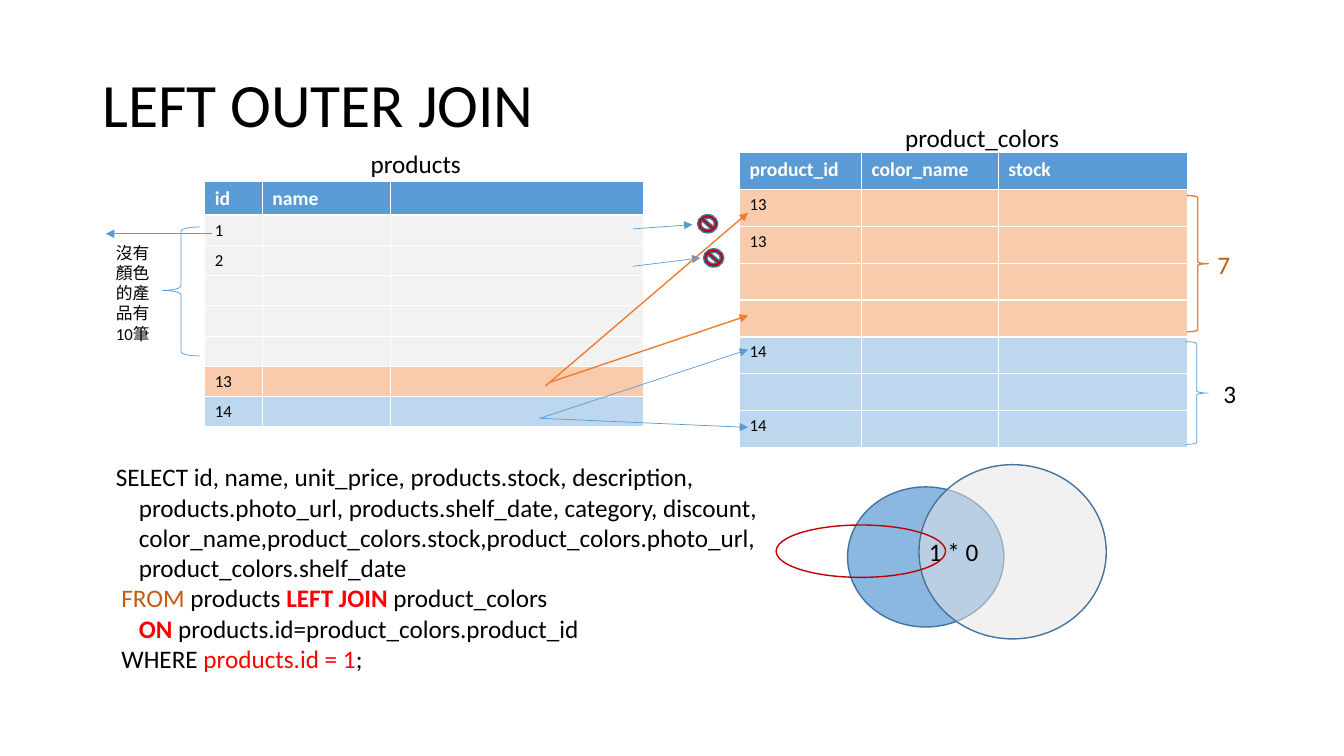
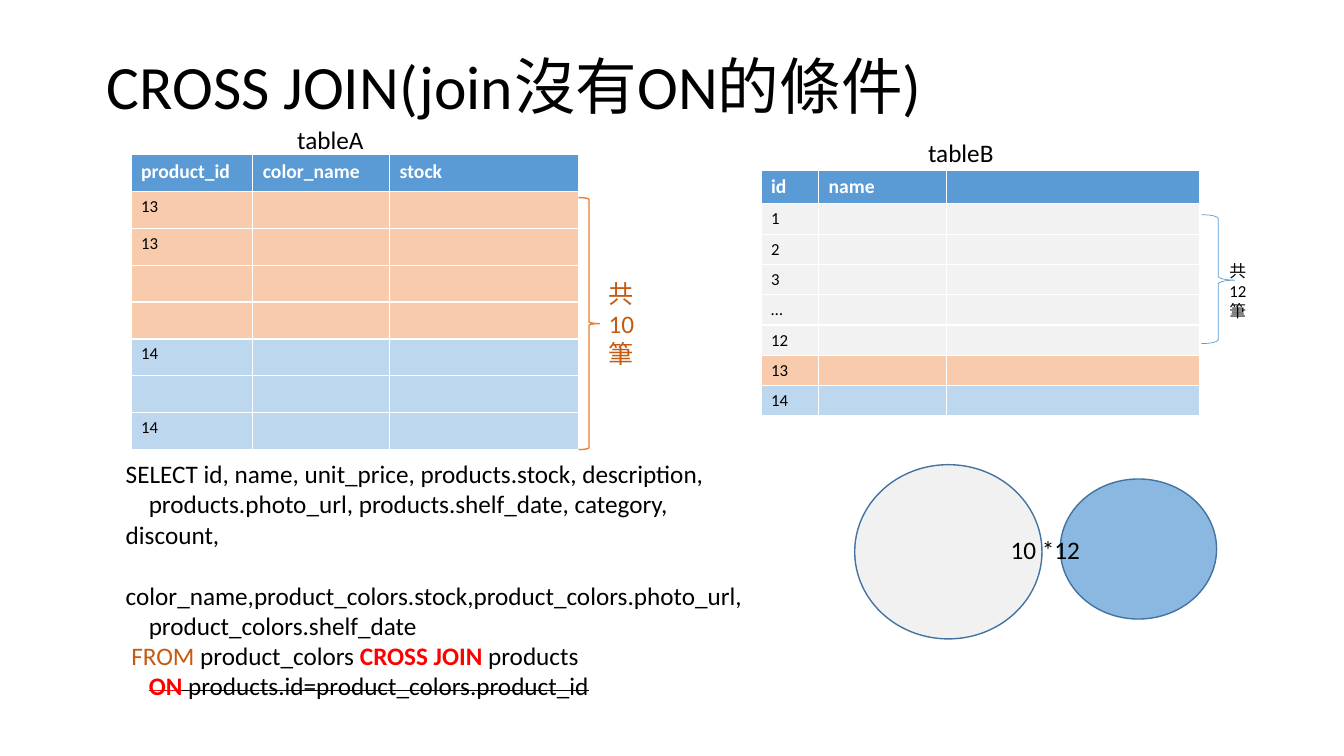
from dataclasses import dataclass

from lxml.etree import SubElement
from pptx import Presentation
from pptx.dml.color import RGBColor
from pptx.enum.shapes import MSO_CONNECTOR, MSO_SHAPE
from pptx.enum.text import MSO_ANCHOR, PP_ALIGN
from pptx.oxml.ns import qn
from pptx.util import Cm, Pt


@dataclass(frozen=True)
class Theme:
    font: str = "Calibri"
    title_size: int = 44
    body_size: int = 18
    header_size: int = 14
    cell_size: int = 12
    thin: float = 0.5
    medium: float = 1
    black: str = "000000"
    white: str = "FFFFFF"
    blue: str = "5B9BD5"
    light_blue: str = "BDD7EE"
    dark_blue: str = "43739E"
    orange: str = "ED7D31"
    dark_orange: str = "C55A11"
    peach: str = "F8CBAD"
    gray: str = "F2F2F2"
    silver: str = "E7E6E6"
    red: str = "FF0000"
    dark_red: str = "C00000"


@dataclass(frozen=True)
class QueryLine:
    runs: tuple  # (text, colour, bold)
    indent: float = 0
    space_before: float = 0
    struck: bool = False


theme = Theme()


def add_text(slide, box, text, size, color):
    frame = slide.shapes.add_textbox(*map(Cm, box)).text_frame
    frame.word_wrap = True
    frame.text = text
    for paragraph in frame.paragraphs:
        paragraph.font.name = theme.font
        paragraph.font.size = Pt(size)
        paragraph.font.color.rgb = RGBColor.from_string(color)
    return frame


def add_outline(slide, preset, box, color, width, fill=None, opacity=100):
    shape = slide.shapes.add_shape(preset, *map(Cm, box))
    shape.shadow.inherit = False
    shape.line.color.rgb = RGBColor.from_string(color)
    shape.line.width = Pt(width)
    if fill:
        shape.fill.solid()
        shape.fill.fore_color.rgb = RGBColor.from_string(fill)
        fill_color = shape._element.spPr.find(qn("a:solidFill"))[0]
        SubElement(fill_color, qn("a:alpha"), val=str(opacity * 1000))
    else:
        shape.fill.background()
    return shape


presentation = Presentation()
presentation.slide_width = Cm(33.87)
presentation.slide_height = Cm(19.05)
blank = presentation.slide_layouts[6]
left_join = presentation.slides.add_slide(blank)
cross_join = presentation.slides.add_slide(blank)

# Titles
for slide, left, top, title in (
    (left_join, 2.33, 1.3, "LEFT OUTER JOIN"),
    (cross_join, 2.44, 0.86, "CROSS JOIN(join沒有ON的條件)"),
):
    heading = add_text(slide, (left, top, 29.2, 2.81), title, theme.title_size, theme.black)
    heading.vertical_anchor = MSO_ANCHOR.MIDDLE
    heading.paragraphs[0].line_spacing = 0.9

# Tables: header, column widths, header height, row height
product_layout = (("id", "name", ""), (1.45, 3.23, 6.38), 0.79, 0.71)
color_layout = (("product_id", "color_name", "stock"), (3.07, 3.45, 4.77), 0.93, 0.93)
product_bands = [theme.gray] * 5 + [theme.peach, theme.light_blue]
color_bands = [theme.peach] * 4 + [theme.light_blue] * 3
color_ids = ("13", "13", "", "", "14", "", "14")

for slide, left, top, layout, ids, bands in (
    (left_join, 5.16, 4.57, product_layout, ("1", "2", "", "", "", "13", "14"), product_bands),
    (left_join, 18.64, 3.84, color_layout, color_ids, color_bands),
    (cross_join, 3.3, 3.89, color_layout, color_ids, color_bands),
    (cross_join, 19.18, 4.29, product_layout, ("1", "2", "3", "…", "12", "13", "14"), product_bands),
):
    header, widths, header_height, row_height = layout
    records = [header] + [(record_id, "", "") for record_id in ids]
    total_height = header_height + row_height * len(ids)
    table = slide.shapes.add_table(
        len(records), len(header), Cm(left), Cm(top), Cm(sum(widths)), Cm(total_height)
    ).table
    table.horz_banding = False
    for column, width in zip(table.columns, widths):
        column.width = Cm(width)
    for row_index, (record, band) in enumerate(zip(records, [theme.blue] + bands)):
        is_header = row_index == 0
        size = theme.header_size if is_header else theme.cell_size
        color = theme.white if is_header else theme.black
        table.rows[row_index].height = Cm(header_height if is_header else row_height)
        for cell, value in zip(table.rows[row_index].cells, record):
            cell.fill.solid()
            cell.fill.fore_color.rgb = RGBColor.from_string(band)
            cell.text = value
            paragraph = cell.text_frame.paragraphs[0]
            paragraph.font.name = theme.font
            paragraph.font.size = Pt(size)
            paragraph.font.bold = is_header
            paragraph.font.color.rgb = RGBColor.from_string(color)
            # Keeps rows of empty cells as low as the others
            SubElement(paragraph._p, qn("a:endParaRPr"), sz=str(size * 100))

# Braces that count the rows
right, left_facing = MSO_SHAPE.RIGHT_BRACE, MSO_SHAPE.LEFT_BRACE
for slide, preset, box, color, width, curve, tip in (
    (left_join, right, (29.92, 4.93, 0.53, 3.43), theme.orange, theme.medium, 0.083, 0.5),
    (left_join, right, (29.87, 8.61, 0.58, 2.59), theme.blue, theme.thin, 0.083, 0.5),
    (left_join, left_facing, (4.09, 5.72, 0.94, 3.25), theme.blue, theme.thin, 0.118, 0.492),
    (cross_join, right, (14.58, 4.98, 0.53, 6.35), theme.orange, theme.medium, 0.083, 0.5),
    (cross_join, right, (30.28, 5.41, 0.84, 3.25), theme.blue, theme.thin, 0.118, 0.508),
):
    brace = add_outline(slide, preset, box, color, width)
    brace.adjustments[0] = curve
    brace.adjustments[1] = tip

# Arrows from products to their colours
for ends, color, width in (
    ((15.95, 5.77, 17.45, 5.66), theme.blue, theme.thin),
    ((15.95, 6.71, 17.65, 6.5), theme.blue, theme.thin),
    ((13.74, 9.73, 18.85, 5.36), theme.orange, theme.medium),
    ((13.87, 9.63, 18.85, 7.95), theme.orange, theme.medium),
    ((13.61, 10.54, 18.85, 8.81), theme.blue, theme.thin),
    ((13.59, 10.54, 18.85, 10.77), theme.blue, theme.thin),
    ((5.33, 5.89, 2.67, 5.89), theme.blue, theme.thin),
):
    arrow = left_join.shapes.add_connector(MSO_CONNECTOR.STRAIGHT, *map(Cm, ends))
    arrow.line.color.rgb = RGBColor.from_string(color)
    arrow.line.width = Pt(width)
    properties = arrow._element.spPr
    SubElement(properties.find(qn("a:ln")), qn("a:tailEnd"), type="triangle")
    SubElement(properties, qn("a:effectLst"))

# Signs for products without a colour
for left, top in ((17.58, 5.41), (17.73, 6.27)):
    add_outline(left_join, MSO_SHAPE.NO_SYMBOL, (left, top, 0.51, 0.46),
                theme.dark_blue, theme.medium, theme.dark_red)

# Venn diagrams
for slide, product_corner, color_corner in (
    (left_join, (21.36, 12.27), (23.16, 11.71)),
    (cross_join, (26.72, 12.07), (21.54, 11.71)),
):
    add_outline(slide, MSO_SHAPE.OVAL, (*product_corner, 3.94, 3.53),
                theme.dark_blue, theme.medium, theme.blue, 70)
    add_outline(slide, MSO_SHAPE.OVAL, (*color_corner, 4.72, 4.39),
                theme.dark_blue, theme.medium, theme.silver, 52)

# Captions and counts
for slide, box, text, size, color in (
    (left_join, (9.09, 3.61, 4, 1.02), "products", theme.body_size, theme.black),
    (left_join, (22.56, 2.97, 6, 1.02), "product_colors", theme.body_size, theme.black),
    (left_join, (30.43, 6.15, 1, 1.02), "7", theme.body_size, theme.dark_orange),
    (left_join, (30.58, 9.4, 1, 1.02), "3", theme.body_size, theme.black),
    (left_join, (2.67, 5.99, 1.37, 2.82), "沒有顏色的產品有10筆", theme.cell_size, theme.black),
    (left_join, (23.16, 13.39, 2.2, 1.02), "1 * 0", theme.body_size, theme.black),
    (cross_join, (7.24, 3.02, 4, 1.02), "tableA", theme.body_size, theme.black),
    (cross_join, (23.14, 3.33, 4, 1.02), "tableB", theme.body_size, theme.black),
    (cross_join, (15.09, 6.88, 1.37, 2.57), "共\n10\n筆", theme.body_size, theme.dark_orange),
    (cross_join, (30.73, 6.45, 1.37, 1.8), "共\n12\n筆", theme.cell_size, theme.black),
    (cross_join, (25.22, 13.34, 4.06, 1.02), "10 *12", theme.body_size, theme.black),
):
    add_text(slide, box, text, size, color)

# Ring around the rows that only the left table has
add_outline(left_join, MSO_SHAPE.OVAL, (19.56, 13.23, 4.27, 1.32), theme.dark_red, theme.medium)

# Queries
clause, step = 0.14, 0.58
select, photo, colors, shelf = (
    ((text, theme.black, False),)
    for text in (
        "SELECT id, name, unit_price, products.stock, description,",
        "products.photo_url, products.shelf_date, category, discount,",
        "color_name,product_colors.stock,product_colors.photo_url,",
        "product_colors.shelf_date",
    )
)
from_word = ("FROM ", theme.dark_orange, False)
on_runs = (("ON", theme.red, True), (" products.id=product_colors.product_id", theme.black, False))
left_query = (
    QueryLine(select),
    QueryLine(photo, step),
    QueryLine(colors, step),
    QueryLine(shelf, step),
    QueryLine((from_word, ("products ", theme.black, False), ("LEFT JOIN ", theme.red, True),
               ("product_colors", theme.black, False)), clause),
    QueryLine(on_runs, step),
    QueryLine((("WHERE ", theme.black, False), ("products.id = 1", theme.red, False),
               (";", theme.black, False)), clause),
)
cross_query = (
    QueryLine(select),
    QueryLine(photo, step),
    QueryLine(colors, space_before=22),
    QueryLine(shelf, step),
    QueryLine((from_word, ("product_colors ", theme.black, False), ("CROSS JOIN ", theme.red, True),
               ("products", theme.black, False)), clause),
    QueryLine(on_runs, step, struck=True),
)
for slide, box, query in (
    (left_join, (2.67, 11.51, 24.94, 5.64), left_query),
    (cross_join, (2.92, 11.43, 16.5, 6.35), cross_query),
):
    frame = slide.shapes.add_textbox(*map(Cm, box)).text_frame
    frame.word_wrap = True
    for index, line in enumerate(query):
        paragraph = frame.add_paragraph() if index else frame.paragraphs[0]
        paragraph.alignment = PP_ALIGN.LEFT
        paragraph.space_before = Pt(line.space_before)
        paragraph.font.name = theme.font
        paragraph.font.size = Pt(theme.body_size)
        # First-line indent only, so wrapped words return to the margin
        paragraph._p.get_or_add_pPr().set("indent", str(Cm(line.indent)))
        for text, color, bold in line.runs:
            run = paragraph.add_run()
            run.text = text
            run.font.bold = bold
            run.font.color.rgb = RGBColor.from_string(color)
            if line.struck:
                run.font._element.set("strike", "sngStrike")

presentation.save("out.pptx")
